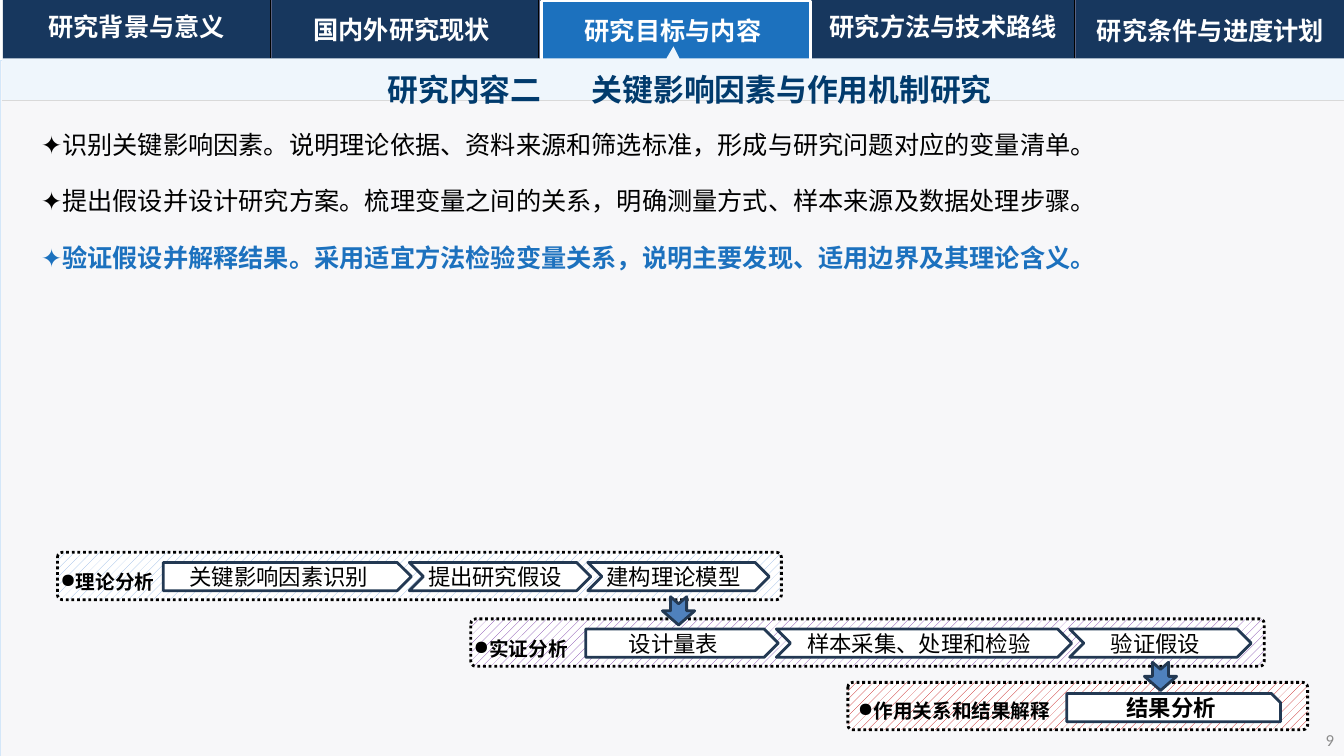
from lxml import etree
from pptx import Presentation
from pptx.dml.color import RGBColor
from pptx.enum.dml import MSO_LINE_DASH_STYLE as DASH, MSO_PATTERN_TYPE as PATTERN
from pptx.enum.shapes import MSO_CONNECTOR as CONN, MSO_SHAPE as SHAPE
from pptx.enum.text import MSO_ANCHOR as ANCHOR, PP_ALIGN as ALIGN
from pptx.oxml.ns import qn
from pptx.util import Inches, Pt

BLACK = RGBColor(0x00, 0x00, 0x00)
WHITE = RGBColor(0xFF, 0xFF, 0xFF)
NAVY = RGBColor(0x17, 0x37, 0x5E)
BLUE = RGBColor(0x1C, 0x71, 0xBE)
TITLE_BLUE = RGBColor(0x01, 0x3B, 0x6D)
PAGE = RGBColor(0xF7, 0xF7, 0xF9)
PAGE_EDGE = RGBColor(0xD4, 0xE7, 0xF9)
BAND = RGBColor(0xEF, 0xF6, 0xFC)
RULE = RGBColor(0xD9, 0xD9, 0xD9)
TAB_EDGE = RGBColor(0x59, 0x61, 0x81)
STEP_EDGE = RGBColor(0x23, 0x39, 0x53)
ARROW = RGBColor(0x4F, 0x81, 0xBD)
GREY = RGBColor(0x8C, 0x8C, 0x8C)
RED = RGBColor(0xC0, 0x00, 0x00)
PURPLE = RGBColor(0x70, 0x30, 0xA0)
PALE_BLUE = RGBColor(0x8E, 0xB4, 0xE3)

CJK = "Noto Sans CJK SC"
STEP_H = 0.28


def write(sp, text, size=18, color=BLACK, bold=False, font=CJK, align=ALIGN.LEFT,
          anchor=ANCHOR.TOP, inset=(0.1, 0.05, 0.1, 0.05), spacing=None, after=None,
          bullet=None, first=True):
    """Add one paragraph to a shape and return it."""
    tf = sp.text_frame
    tf.word_wrap = True
    tf.vertical_anchor = anchor
    tf.margin_left, tf.margin_top, tf.margin_right, tf.margin_bottom = map(Inches, inset)
    p = tf.paragraphs[0] if first else tf.add_paragraph()
    p.alignment = align
    if spacing:
        p.line_spacing = spacing
    if after:
        p.space_after = Pt(after)
    if bullet:
        pPr = p._p.get_or_add_pPr()
        pPr.set("marL", str(Inches(0.12)))
        pPr.set("indent", str(-Inches(0.12)))
        etree.SubElement(pPr, qn("a:buChar")).set("char", bullet)
    parts = [text] if isinstance(text, str) else text
    for part in parts:
        r = p.add_run()
        r.text = part
        r.font.size, r.font.bold, r.font.name = Pt(size), bold, font
        r.font.color.rgb = color
        etree.SubElement(r._r.get_or_add_rPr(), qn("a:ea")).set("typeface", CJK)
    return p


def add_text(s, x, y, w, h, text, **fmt):
    sp = s.shapes.add_textbox(Inches(x), Inches(y), Inches(w), Inches(h))
    write(sp, text, **fmt)
    return sp


def paint(sp, fill=None, line=None, width=1.0):
    sp.shadow.inherit = False
    if fill is None:
        sp.fill.background()
    else:
        sp.fill.solid()
        sp.fill.fore_color.rgb = fill
    if line is None:
        sp.line.fill.background()
    else:
        sp.line.color.rgb = line
        sp.line.width = Pt(width)


def add_block(s, kind, x, y, w, h, fill=None, line=None, width=1.0, adj=None):
    sp = s.shapes.add_shape(kind, Inches(x), Inches(y), Inches(w), Inches(h))
    if adj is not None:
        sp.adjustments[0] = adj
    paint(sp, fill, line, width)
    return sp


def add_line(s, x1, y1, x2, y2, color, width):
    cn = s.shapes.add_connector(CONN.STRAIGHT, Inches(x1), Inches(y1), Inches(x2), Inches(y2))
    cn.line.color.rgb = color
    cn.line.width = Pt(width)
    etree.SubElement(cn._element.spPr, qn("a:effectLst"))


def add_stage(s, x, y, w, color):
    """Dotted, patterned frame around one stage of the work."""
    sp = add_block(s, SHAPE.ROUNDED_RECTANGLE, x, y, w, 0.47, WHITE, BLACK, 2, adj=0.1)
    sp.fill.patterned()
    sp.fill.pattern = PATTERN.PERCENT_20
    sp.fill.fore_color.rgb = color
    sp.fill.back_color.rgb = WHITE
    sp.line.dash_style = DASH.ROUND_DOT


def add_step(s, kind, x, y, w, text, bold=False, adj=None, inset=(0, 0.05, 0.1, 0.05)):
    sp = add_block(s, kind, x, y, w, STEP_H, WHITE, STEP_EDGE, 2, adj)
    write(sp, text, size=16, bold=bold, font="Calibri", align=ALIGN.CENTER,
          anchor=ANCHOR.MIDDLE, inset=inset)


def add_navigation(s):
    add_block(s, SHAPE.RECTANGLE, 0.03, 0, 13.3, 0.6, NAVY)
    add_block(s, SHAPE.RECTANGLE, 0, 0.6, 13.33, 6.9, PAGE, PAGE_EDGE, 0.5)
    for i in range(4):
        x = 2.68 + 2.66 * i
        add_line(s, x, 0, x, 0.58, BLACK, 0.5)
        add_line(s, x + 0.01, 0, x + 0.01, 0.58, TAB_EDGE, 0.75)
    add_block(s, SHAPE.RECTANGLE, 5.37, 0.01, 2.67, 0.6, BLUE, WHITE, 2)

    # Title band with a pointer into the active tab
    outline = [(6.74, 0.58), (13.33, 0.58), (13.33, 1), (0.02, 1), (0.02, 0.58), (6.61, 0.58)]
    fb = s.shapes.build_freeform(Inches(6.68), Inches(0.46))
    fb.add_line_segments([(Inches(x), Inches(y)) for x, y in outline], close=True)
    paint(fb.convert_to_shape(), BAND)
    add_line(s, 0.02, 1, 13.33, 1, RULE, 0.5)

    # Tab labels
    tabs = [(0.03, 0.06, "研究背景与意义"), (2.66, 0.09, "国内外研究现状"),
            (5.35, 0.1, "研究目标与内容"), (8.03, 0.06, "研究方法与技术路线"),
            (10.68, 0.1, "研究条件与进度计划")]
    for x, y, label in tabs:
        sp = add_block(s, SHAPE.ROUNDED_RECTANGLE, x, y, 2.65, 0.41, adj=0)
        write(sp, label, color=WHITE, bold=True, align=ALIGN.CENTER, anchor=ANCHOR.MIDDLE)


def add_content(s):
    title = add_text(s, 0.23, 0.47, 13.22, 0.59,
                     ["研究内容二", " ", "关键影响因素与作用机制研究"], size=22,
                     color=TITLE_BLUE, bold=True, align=ALIGN.CENTER, spacing=1.5, after=8)
    # Widen the single space between the two halves of the title
    gap = title.text_frame.paragraphs[0].runs[1]
    gap._r.get_or_add_rPr().set("spc", "3100")

    points = [
        ("✦识别关键影响因素。说明理论依据、资料来源和筛选标准，形成与研究问题对应的变量清单。", BLACK, False),
        ("✦提出假设并设计研究方案。梳理变量之间的关系，明确测量方式、样本来源及数据处理步骤。", BLACK, False),
        ("✦验证假设并解释结果。采用适宜方法检验变量关系，说明主要发现、适用边界及其理论含义。", BLUE, True),
    ]
    body = s.shapes.add_textbox(Inches(0.31), Inches(1.08), Inches(12.91), Inches(4.36))
    for i, (text, color, bold) in enumerate(points):
        write(body, text, color=color, bold=bold, spacing=1.5, after=8, first=i == 0)


def add_flow(s):
    # Stage frames
    add_stage(s, 8.41, 6.77, 4.56, RED)
    add_stage(s, 4.67, 6.14, 7.87, PURPLE)
    add_stage(s, 0.57, 5.48, 7.18, PALE_BLUE)

    # Stage names
    names = [(0.5, 5.49, 1.18, "理论分析"), (4.6, 6.15, 1.31, "实证分析"),
             (8.41, 6.77, 2.38, "作用关系和结果解释")]
    for x, y, w, name in names:
        add_text(s, x, y, w, 0.41, name, size=14, bold=True, spacing=1.5, bullet="●")

    # Steps: each row opens with a pentagon and goes on with chevrons
    rows = [
        (5.58, [(1.62, 2.46, "关键影响因素识别"), (4.06, 1.8, "提出研究假设"),
                (5.83, 1.8, "建构理论模型")]),
        (6.24, [(5.81, 1.91, "设计量表"), (7.7, 2.93, "样本采集、处理和检验"),
                (10.61, 1.8, "验证假设")]),
    ]
    for y, steps in rows:
        for i, (x, w, text) in enumerate(steps):
            add_step(s, SHAPE.CHEVRON if i else SHAPE.PENTAGON, x, y, w, text)
    add_step(s, SHAPE.SNIP_1_RECTANGLE, 10.58, 6.88, 2.12, "结果分析", bold=True,
             adj=0.32, inset=(0.1, 0, 0.1, 0.05))

    # Arrows from stage to stage
    for x, y in [(6.59, 5.9), (11.37, 6.55)]:
        sp = add_block(s, SHAPE.NOTCHED_RIGHT_ARROW, x, y, 0.28, 0.32, ARROW, STEP_EDGE, 2)
        sp.rotation = 90


def main():
    prs = Presentation()
    prs.slide_width, prs.slide_height = Inches(13.33), Inches(7.5)
    s = prs.slides.add_slide(prs.slide_layouts[6])
    add_navigation(s)
    add_content(s)
    add_flow(s)
    # Page number
    add_text(s, 10.33, 7.14, 3, 0.4, "9", size=12, color=GREY, font="Calibri",
             align=ALIGN.RIGHT, anchor=ANCHOR.MIDDLE)
    prs.save("out.pptx")


if __name__ == "__main__":
    main()
